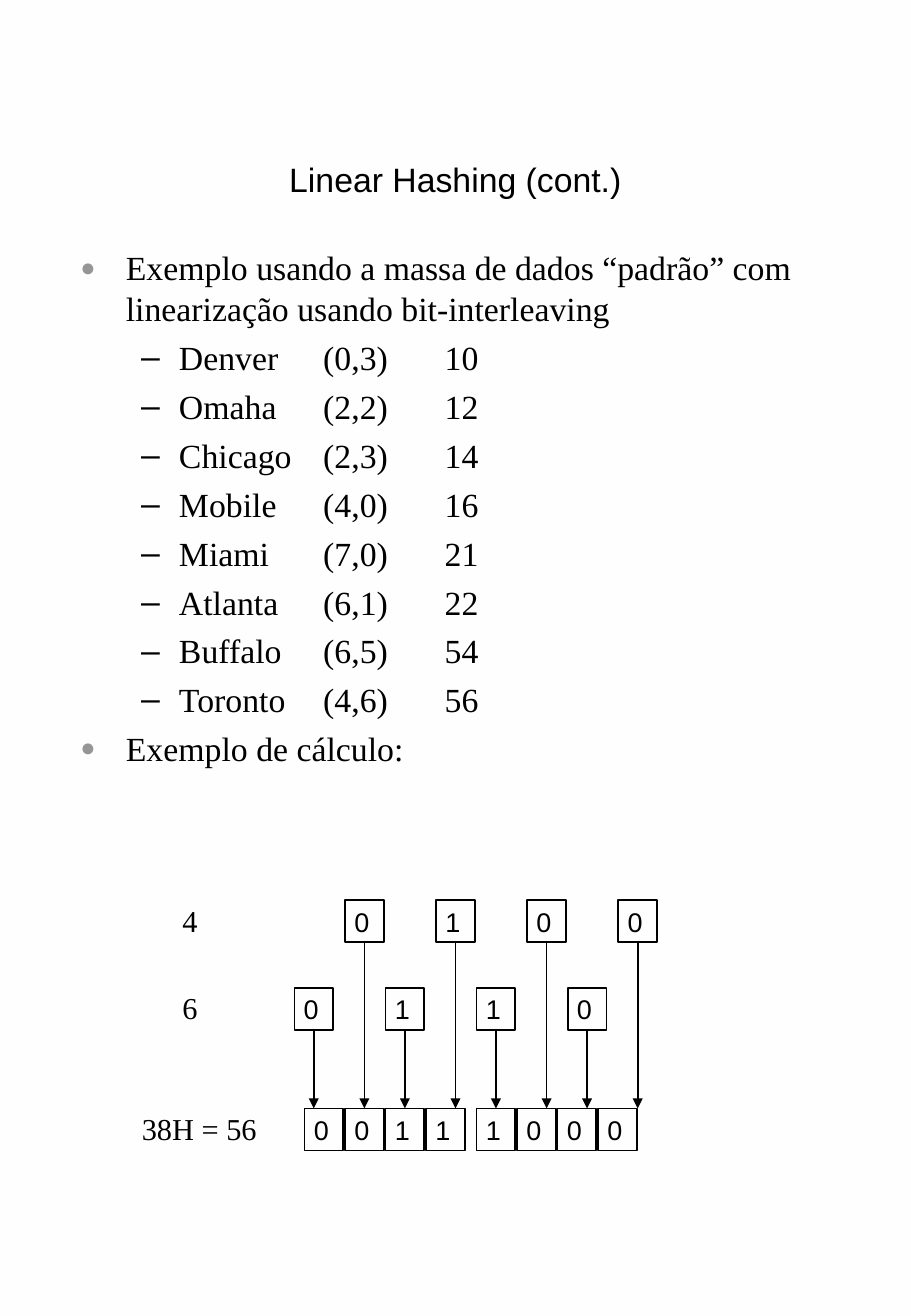
from pptx import Presentation
from pptx.dml.color import RGBColor
from pptx.enum.shapes import MSO_CONNECTOR, MSO_SHAPE
from pptx.enum.text import MSO_ANCHOR, PP_ALIGN
from pptx.oxml.ns import qn
from pptx.util import Pt
from lxml.etree import SubElement

BLACK, GREY = "000000", "969696"
CELL_WIDTH, CELL_HEIGHT = 23, 25
BIT_PITCH, RESULT_PITCH, NIBBLE_GAP = 54, 24, 6
LABEL_WIDTH, LABEL_HEIGHT = 94, 29

CITIES = [
    ("Denver", "(0,3)", 10), ("Omaha", "(2,2)", 12),
    ("Chicago", "(2,3)", 14), ("Mobile", "(4,0)", 16),
    ("Miami", "(7,0)", 21), ("Atlanta", "(6,1)", 22),
    ("Buffalo", "(6,5)", 54), ("Toronto", "(4,6)", 56),
]


def color(value):
    return RGBColor.from_string(value)


def set_font(paragraph, name, size):
    paragraph.font.name = name
    paragraph.font.size = Pt(size)
    paragraph.font.color.rgb = color(BLACK)


def add_frame(slide, left, top, width, height):
    frame = slide.shapes.add_textbox(Pt(left), Pt(top), Pt(width), Pt(height)).text_frame
    frame.word_wrap = True
    return frame


def set_bullet(paragraph, char, fill, percent, margin, indent):
    props = paragraph._p.get_or_add_pPr()
    props.set("marL", str(Pt(margin)))
    props.set("indent", str(Pt(-indent)))
    SubElement(SubElement(props, qn("a:buClr")), qn("a:srgbClr"), val=fill)
    SubElement(props, qn("a:buSzPct"), val=str(percent * 1000))
    SubElement(props, qn("a:buFont"), typeface="Arial")
    SubElement(props, qn("a:buChar"), char=char)
    return props


def add_title(slide, left, top, width, height):
    frame = add_frame(slide, left, top, width, height)
    frame.vertical_anchor = MSO_ANCHOR.MIDDLE
    frame.text = "Linear Hashing (cont.)"
    frame.paragraphs[0].alignment = PP_ALIGN.CENTER
    set_font(frame.paragraphs[0], "Arial", 20)


def add_city_list(slide, left, top, width, height):
    frame = add_frame(slide, left, top, width, height)
    intro = "Exemplo usando a massa de dados “padrão” com linearização usando bit-interleaving"
    rows = [f"{city}\t{point}\t{code}" for city, point, code in CITIES]
    for index, text in enumerate([intro, *rows, "Exemplo de cálculo:"]):
        paragraph = frame.add_paragraph() if index else frame.paragraphs[0]
        paragraph.text = text
        if text in rows:
            paragraph.level = 1
            props = set_bullet(paragraph, "–", BLACK, 100, 58.5, 22.5)
            stops = SubElement(props, qn("a:tabLst"))
            for position in (144, 216):
                SubElement(stops, qn("a:tab"), pos=str(Pt(position)), algn="l")
        else:
            set_bullet(paragraph, "●", GREY, 75, 27, 27)
        paragraph.line_spacing = Pt(24)
        paragraph.space_before = Pt(5 if index else 0)
        set_font(paragraph, "Times New Roman", 20)


def add_label(slide, left, top, text):
    frame = add_frame(slide, left, top, LABEL_WIDTH, LABEL_HEIGHT)
    frame.text = text
    set_font(frame.paragraphs[0], "Times New Roman", 18)


def add_bit(slide, left, top, bit):
    cell = slide.shapes.add_shape(
        MSO_SHAPE.RECTANGLE, Pt(left), Pt(top), Pt(CELL_WIDTH), Pt(CELL_HEIGHT))
    cell.shadow.inherit = False
    cell.fill.background()
    cell.line.color.rgb = color(BLACK)
    cell.line.width = Pt(1)
    frame = cell.text_frame
    frame.margin_left, frame.margin_top = Pt(5.5), Pt(3)
    frame.margin_right = frame.margin_bottom = 0
    frame.vertical_anchor = MSO_ANCHOR.TOP
    frame.word_wrap = True
    frame.text = bit
    frame.paragraphs[0].alignment = PP_ALIGN.LEFT
    set_font(frame.paragraphs[0], "Arial", 16)
    return cell


def add_arrow(slide, source, result_cells):
    """Drop an arrow from a source bit to the top of the result row."""
    center = source.left + source.width // 2
    arrow = slide.shapes.add_connector(
        MSO_CONNECTOR.STRAIGHT, center, source.top + source.height, center, result_cells[0].top)
    arrow.begin_connect(source, 2)
    for cell in result_cells:
        if cell.left == source.left:
            arrow.end_connect(cell, 0)
    arrow.line.color.rgb = color(BLACK)
    arrow.line.width = Pt(1)
    SubElement(arrow.line._get_or_add_ln(), qn("a:tailEnd"), type="triangle")
    SubElement(arrow._element.spPr, qn("a:effectLst"))


def add_interleaving(slide, left, top):
    """Show the bits of both coordinates merging into the hash value."""
    x_top, y_top, result_top = top, top + 52, top + 123.5
    for text, indent, row_top in (
            ("4", 24, x_top), ("6", 24, y_top), ("38H = 56", 0, result_top)):
        add_label(slide, left + indent, row_top - 2.5, text)
    result_cells = [
        add_bit(slide, left + 103.5 + RESULT_PITCH * i + NIBBLE_GAP * (i // 4), result_top, bit)
        for i, bit in enumerate("00111000")]
    for bits, indent, row_top in (("0100", 127.5, x_top), ("0110", 97.5, y_top)):
        for i, bit in enumerate(bits):
            source = add_bit(slide, left + indent + BIT_PITCH * i, row_top, bit)
            add_arrow(slide, source, result_cells)


def main():
    presentation = Presentation()
    presentation.slide_width, presentation.slide_height = Pt(540), Pt(780)
    slide = presentation.slides.add_slide(presentation.slide_layouts[6])
    backdrop = slide.background.fill
    backdrop.gradient()
    backdrop.gradient_angle = 180
    for stop, shade in zip(backdrop.gradient_stops, ("FEFEFE", "FFFFFF")):
        stop.color.rgb = color(shade)
    add_title(slide, 40.5, 69.5, 459, 73.5)
    add_city_list(slide, 40.5, 143, 459, 337.5)
    add_interleaving(slide, 77, 533.5)
    presentation.save("out.pptx")


if __name__ == "__main__":
    main()
